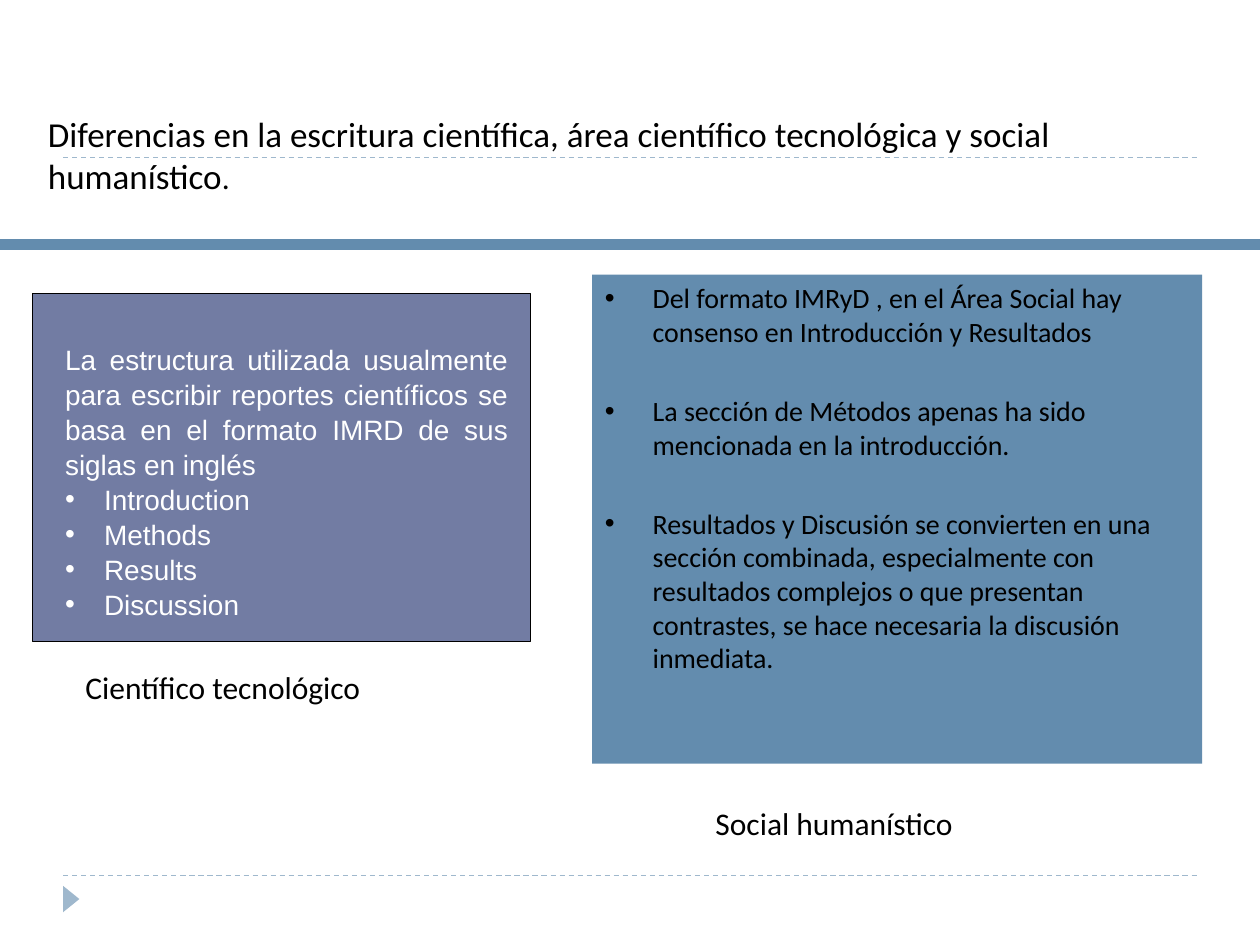
from collections import namedtuple

from lxml.etree import SubElement
from pptx import Presentation
from pptx.dml.color import RGBColor
from pptx.enum.dml import MSO_LINE_DASH_STYLE as Dash
from pptx.enum.shapes import MSO_CONNECTOR as Connector, MSO_SHAPE as Preset
from pptx.enum.text import MSO_ANCHOR as Anchor, MSO_AUTO_SIZE as AutoSize, PP_ALIGN as Align
from pptx.oxml.ns import qn
from pptx.util import Inches, Pt

Box = namedtuple("Box", "left top width height")
WIDTH, HEIGHT = Inches(10), Inches(7.5)
BLUE, VIOLET, PALE = "638CAE", "727CA3", "9FB8CD"
BLACK, WHITE = "000000", "FFFFFF"

HEADING = "Diferencias en la escritura científica, área científico tecnológica y social humanístico"
STRUCTURE = (
    "La estructura utilizada usualmente para escribir reportes científicos "
    "se basa en el formato IMRD de sus siglas en inglés"
)
SECTIONS = ["Introduction", "Methods", "Results", "Discussion"]
SOCIAL_POINTS = [
    "Del formato IMRyD , en el Área Social hay consenso en Introducción y Resultados",
    "La sección de Métodos apenas ha sido mencionada en la introducción.",
    "Resultados y Discusión se convierten en una sección combinada, especialmente con "
    "resultados complejos o que presentan contrastes, se hace necesaria la discusión inmediata.",
]


def color(hex_value):
    return RGBColor.from_string(hex_value)


def percent(left, top, width, height):
    return Box(
        int(WIDTH * left / 100), int(HEIGHT * top / 100),
        int(WIDTH * width / 100), int(HEIGHT * height / 100),
    )


def inside(box, left, top, width, height):
    return Box(
        int(box.left + box.width * left), int(box.top + box.height * top),
        int(box.width * width), int(box.height * height),
    )


def apply(target, values):
    for key, value in values.items():
        setattr(target, key, value)


def write(paragraph, text, size, hex_value=BLACK, font="Calibri", **layout):
    run = paragraph.add_run()
    run.text = text
    apply(run.font, {"size": Pt(size), "name": font, "bold": False})
    run.font.color.rgb = color(hex_value)
    apply(paragraph, layout)


def bullet(paragraph, indent):
    properties = paragraph._p.get_or_add_pPr()
    properties.set("marL", str(Inches(indent)))
    properties.set("indent", str(-Inches(indent)))
    SubElement(properties, qn("a:buFont")).set("typeface", "Arial")
    SubElement(properties, qn("a:buChar")).set("char", "•")


def paragraphs(frame, count):
    return [frame.paragraphs[0]] + [frame.add_paragraph() for _ in range(count - 1)]


def prepare(frame, fit=AutoSize.NONE):
    apply(frame, {"word_wrap": True, "auto_size": fit, "vertical_anchor": Anchor.TOP})
    return frame


def filled(shapes, preset, box, hex_value):
    shape = shapes.add_shape(preset, *box)
    shape.shadow.inherit = False
    shape.fill.solid()
    shape.fill.fore_color.rgb = color(hex_value)
    shape.line.fill.background()
    return shape


def rule(shapes, box, hex_value, weight, dash=None):
    line = shapes.add_connector(
        Connector.STRAIGHT, box.left, box.top, box.left + box.width, box.top + box.height
    )
    line.line.color.rgb = color(hex_value)
    apply(line.line, {"width": Pt(weight), "dash_style": dash})
    SubElement(line._element.spPr, qn("a:effectLst"))


def decoration(shapes):
    for height in (92.67, 16.67):
        rule(shapes, percent(5, height, 90, 0), PALE, 0.75, Dash.DASH)
    filled(shapes, Preset.ISOSCELES_TRIANGLE, percent(4.6, 94.27, 2.1, 1.73), PALE).rotation = 90
    rule(shapes, percent(0, 25.87, 100, 0), BLUE, 6)


def heading(title, box):
    apply(title, box._asdict())
    line = prepare(title.text_frame).paragraphs[0]
    write(line, HEADING, 20, alignment=Align.LEFT)
    write(line, ".", 18)


def scientific_panel(shapes, box):
    group = shapes.add_group_shape().shapes
    panel = filled(group, Preset.RECTANGLE, box, VIOLET)
    panel.line.color.rgb = color(BLACK)
    panel.line.width = Pt(0.75)
    label = group.add_textbox(*inside(box, 0.04, 0.12, 0.94, 0.82))
    frame = prepare(label.text_frame, AutoSize.SHAPE_TO_FIT_TEXT)
    intro, *items = paragraphs(frame, 1 + len(SECTIONS))
    style = {"font": "Arial", "alignment": Align.JUSTIFY, "line_spacing": 1.04}
    write(intro, STRUCTURE, 16, WHITE, **style)
    for item, section in zip(items, SECTIONS):
        write(item, section, 16, WHITE, **style)
        bullet(item, 0.31)


def social_panel(body, box):
    apply(body, box._asdict())
    body.fill.solid()
    body.fill.fore_color.rgb = color(BLUE)
    items = paragraphs(prepare(body.text_frame), len(SOCIAL_POINTS))
    for index, (item, point) in enumerate(zip(items, SOCIAL_POINTS)):
        write(item, point, 16, space_before=Pt(26 if index else 0))
        bullet(item, 0.38)


def caption(shapes, box, text):
    frame = prepare(shapes.add_textbox(*box).text_frame, AutoSize.SHAPE_TO_FIT_TEXT)
    write(frame.paragraphs[0], text, 18)


def main():
    deck = Presentation()
    apply(deck, {"slide_width": WIDTH, "slide_height": HEIGHT})
    slide = deck.slides.add_slide(deck.slide_layouts[1])
    shapes = slide.shapes
    decoration(shapes)
    heading(shapes.title, percent(2.8, 11.2, 95.9, 5.87))
    scientific_panel(shapes, percent(2.6, 31.07, 39.5, 36.8))
    social_panel(slide.placeholders[1], percent(47, 29.07, 48.4, 51.73))
    caption(shapes, percent(5.8, 70, 25.8, 5.33), "Científico tecnológico")
    caption(shapes, percent(55.8, 84.4, 25.8, 5.33), "Social humanístico")
    deck.save("out.pptx")


if __name__ == "__main__":
    main()
